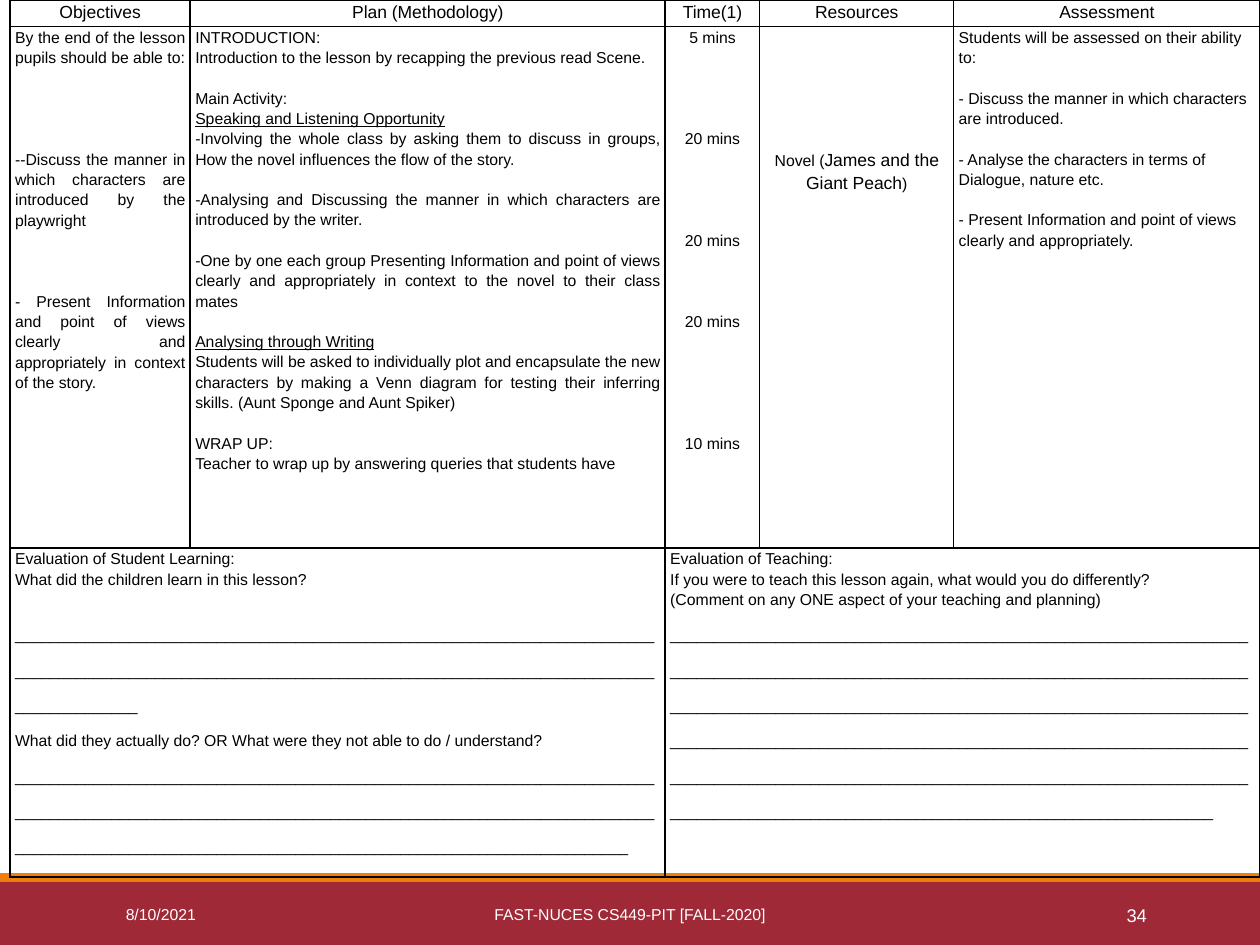
from pptx import Presentation
from pptx.dml.color import RGBColor
from pptx.enum.shapes import MSO_SHAPE as SHAPE
from pptx.enum.text import MSO_ANCHOR as ANCHOR, PP_ALIGN as ALIGN
from pptx.oxml import parse_xml
from pptx.oxml.ns import nsdecls
from pptx.util import Inches, Pt

BLACK = RGBColor(0x00, 0x00, 0x00)
WHITE = RGBColor(0xFF, 0xFF, 0xFF)
RED = RGBColor(0x9F, 0x29, 0x36)
ORANGE = RGBColor(0xF0, 0x7F, 0x09)
GAP = 11.6  # points taken by one line of body text

COLUMNS = [1.43, 3.77, 0.75, 1.54, 2.43]
ROWS = [0.21, 4.14, 2.47]
HEADINGS = ["Objectives", "Plan (Methodology)", "Time(1)", "Resources", "Assessment"]

# Each paragraph: text, lines of space before it
OBJECTIVES = [
    ("By the end of the lesson pupils should be able to:", 0),
    ("--Discuss the manner in which characters are introduced by the playwright", 4),
    ("- Present Information and point of views clearly and appropriately "
     "in context of the story.", 3),
]
PLAN = [
    ("INTRODUCTION:", 0),
    ("Introduction to the lesson by recapping the previous read Scene.", 0),
    ("Main Activity:", 1),
    ("Speaking and Listening Opportunity", 0),
    ("-Involving the whole class by asking them to discuss in groups, "
     "How the novel influences the flow of the story.", 0),
    ("-Analysing and Discussing the manner in which characters are "
     "introduced by the writer.", 1),
    ("-One by one each group Presenting Information and point of views clearly "
     "and appropriately in context to the novel to their class mates", 1),
    ("Analysing through Writing", 1),
    ("Students will be asked to individually plot and encapsulate the new "
     "characters by making a Venn diagram for testing their inferring skills. "
     "(Aunt Sponge and Aunt Spiker)", 0),
    ("WRAP UP:", 1),
    ("Teacher to wrap up by answering queries that students have", 0),
]
UNDERLINED = ("Speaking and Listening Opportunity", "Analysing through Writing")
TIMES = [("5 mins", 0), ("20 mins", 4), ("20 mins", 4), ("20 mins", 3), ("10 mins", 5)]
NOVEL = [("Novel (", 9), ("James and the Giant Peach", 10), (")", 9)]
ASSESSMENT = [
    ("Students will be assessed on their ability to:", 0),
    ("- Discuss the manner in which characters are introduced.", 1),
    ("- Analyse the characters in terms of Dialogue, nature etc.", 1),
    ("- Present Information and point of views clearly and appropriately.", 1),
]
LEARNING = [
    ("Evaluation of Student Learning:", 0),
    ("What did the children learn in this lesson?", 0),
]
LEARNING_ANSWERS = [
    ("_" * 160, 1),
    ("What did they actually do? OR What were they not able to do / understand?", 0),
    ("_" * 216, 0),
]
TEACHING = [
    ("Evaluation of Teaching:", 0),
    ("If you were to teach this lesson again, what would you do differently?", 0),
    ("(Comment on any ONE aspect of your teaching and planning)", 0),
]
TEACHING_ANSWERS = [("_" * 392, 0)]


class LessonSlide:
    font = "Arial"

    def __init__(self, prs):
        self.s = prs.slides.add_slide(prs.slide_layouts[6])

    def style(self, p, size, color, align=ALIGN.LEFT):
        p.alignment = align
        p.font.name = self.font
        p.font.size = Pt(size)
        p.font.color.rgb = color

    def bar(self, top, height, color):
        sp = self.s.shapes.add_shape(SHAPE.RECTANGLE, Inches(0), Inches(top),
                                     Inches(10), Inches(height))
        sp.shadow.inherit = False
        sp.fill.solid()
        sp.fill.fore_color.rgb = color
        sp.line.fill.background()

    def footer(self, left, width, text, size=9, align=ALIGN.LEFT):
        sp = self.s.shapes.add_textbox(Inches(left), Inches(7.06),
                                       Inches(width), Inches(0.4))
        tf = sp.text_frame
        tf.word_wrap = True
        tf.vertical_anchor = ANCHOR.MIDDLE
        p = tf.paragraphs[0]
        p.text = text
        self.style(p, size, WHITE, align)

    def table(self, left, top, columns, rows):
        frame = self.s.shapes.add_table(len(rows), len(columns), Inches(left), Inches(top),
                                        Inches(sum(columns)), Inches(sum(rows)))
        table = frame.table
        table.first_row = table.horz_banding = False
        for column, width in zip(table.columns, columns):
            column.width = Inches(width)
        for row, height in zip(table.rows, rows):
            row.height = Inches(height)
        for cell in table.iter_cells():
            self.frame_cell(cell)
        return table

    def frame_cell(self, cell):
        """Give a cell thin black borders, narrow margins and no fill."""
        cell.margin_left = cell.margin_right = Inches(0.04)
        cell.margin_top = cell.margin_bottom = 0
        tcPr = cell._tc.get_or_add_tcPr()
        for side in "LRTB":
            tcPr.append(parse_xml(
                f'<a:ln{side} {nsdecls("a")} w="{Pt(1)}"><a:solidFill>'
                f'<a:srgbClr val="{BLACK}"/></a:solidFill></a:ln{side}>'))
        cell.fill.background()

    def add_text(self, cell, items, align=ALIGN.LEFT, size=9, spacing=1.15):
        """Add paragraphs after any text the cell already has."""
        tf = cell.text_frame
        for text, lines_before in items:
            p = tf.add_paragraph() if tf.text else tf.paragraphs[0]
            self.style(p, size, BLACK, align)
            p.line_spacing = spacing
            if lines_before:
                p.space_before = Pt(lines_before * GAP)
            p.font.underline = text in UNDERLINED
            p.add_run().text = text

    def add_mixed_text(self, cell, runs, lines_above):
        """Add one centred paragraph whose runs differ in size."""
        cell.margin_top = Pt(lines_above * GAP)
        p = cell.text_frame.paragraphs[0]
        self.style(p, 9, BLACK, ALIGN.CENTER)
        p.line_spacing = 1.15
        for text, size in runs:
            r = p.add_run()
            r.text = text
            r.font.size = Pt(size)


def main():
    prs = Presentation()
    prs.slide_width, prs.slide_height = Inches(10), Inches(7.5)
    slide = LessonSlide(prs)

    slide.bar(7, 0.5, RED)
    slide.bar(6.93, 0.07, ORANGE)
    slide.footer(0.9, 2.03, "8/10/2021")
    slide.footer(3.02, 3.96, "FAST-NUCES CS449-PIT [FALL-2020]", align=ALIGN.CENTER)
    slide.footer(8.12, 1.08, "34", 10.5, ALIGN.RIGHT)

    table = slide.table(0.08, 0, COLUMNS, ROWS)
    for i, heading in enumerate(HEADINGS):
        slide.add_text(table.cell(0, i), [(heading, 0)], ALIGN.CENTER, 10)
    slide.add_text(table.cell(1, 0), OBJECTIVES, ALIGN.JUSTIFY)
    slide.add_text(table.cell(1, 1), PLAN, ALIGN.JUSTIFY)
    slide.add_text(table.cell(1, 2), TIMES, ALIGN.CENTER)
    slide.add_mixed_text(table.cell(1, 3), NOVEL, 6)
    slide.add_text(table.cell(1, 4), ASSESSMENT)

    for first, last, questions, answers in (
            (0, 1, LEARNING, LEARNING_ANSWERS), (2, 4, TEACHING, TEACHING_ANSWERS)):
        cell = table.cell(2, first)
        cell.merge(table.cell(2, last))
        slide.add_text(cell, questions)
        slide.add_text(cell, answers, spacing=2.0)

    prs.save("out.pptx")


if __name__ == "__main__":
    main()
